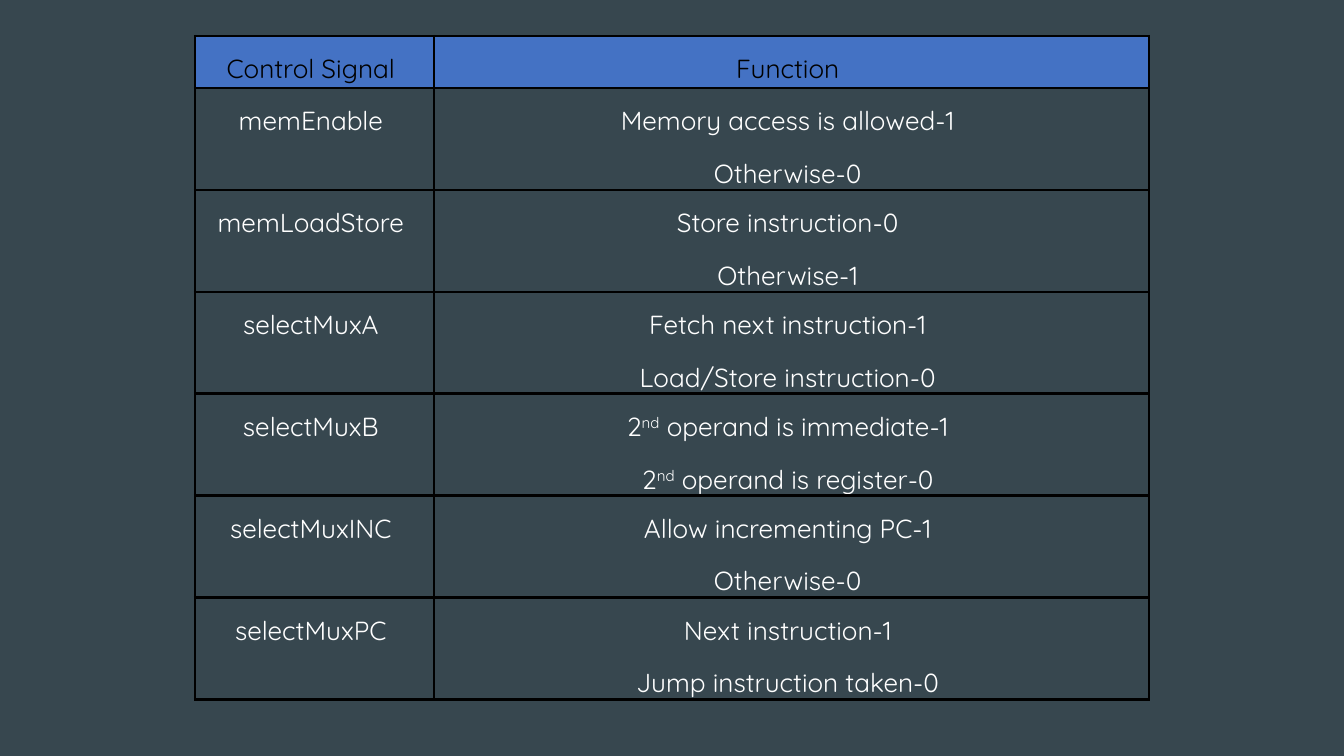
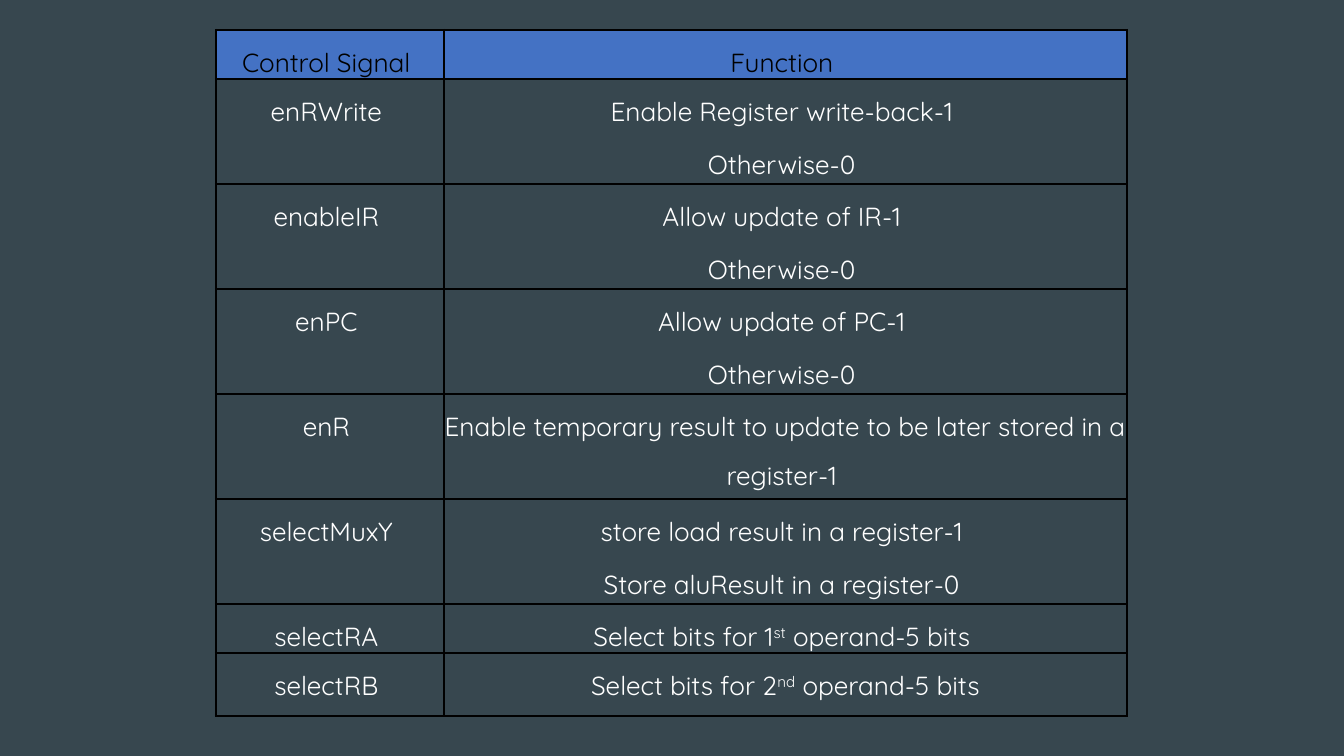
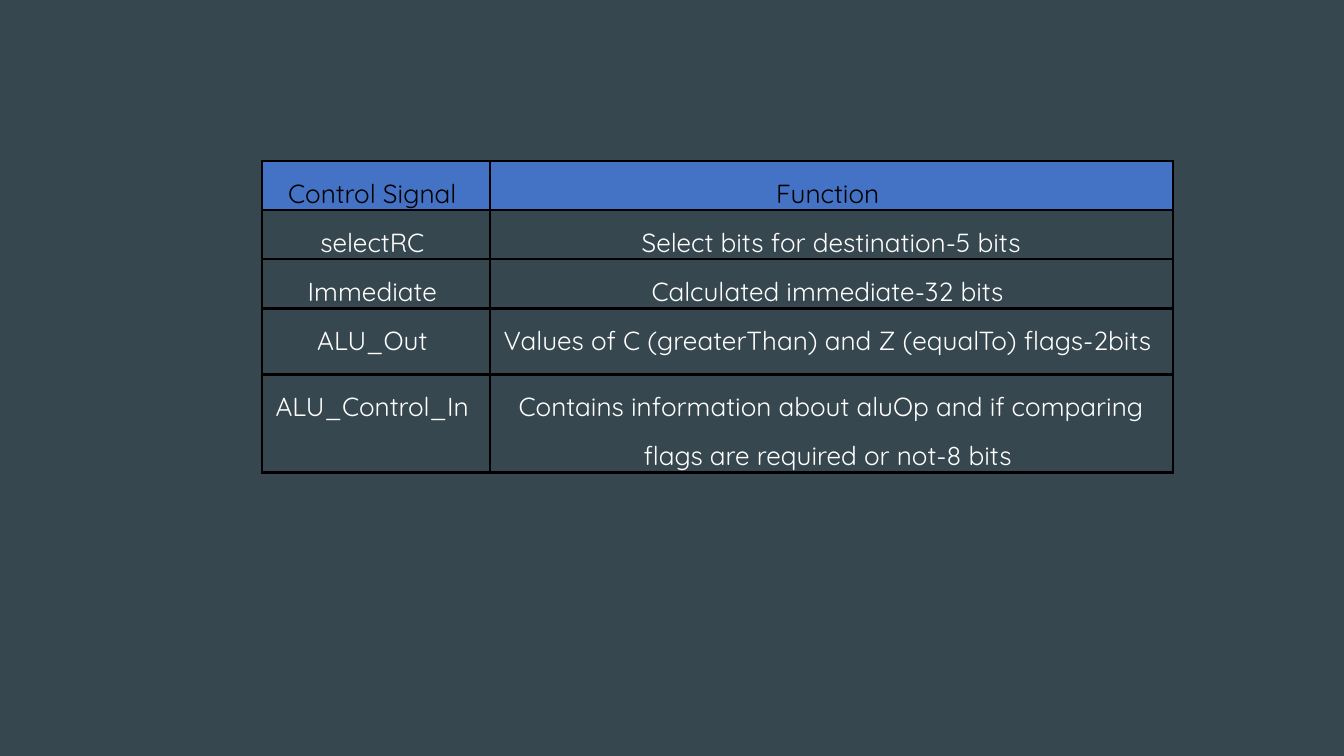
from dataclasses import dataclass

from lxml.etree import SubElement
from pptx import Presentation
from pptx.dml.color import RGBColor as RGB
from pptx.enum.text import MSO_ANCHOR as Anchor, PP_ALIGN as Align
from pptx.oxml.ns import qn
from pptx.util import Emu, Pt

PX = 914400 / 134.4  # EMU in one px


def px(n):
    return Emu(round(n * PX))


# Colours and type sizes
@dataclass(frozen=True)
class Theme:
    bg: str = "37474F"
    header_fill: str = "4472C4"
    header_text: str = "000000"
    body_text: str = "FFFFFF"
    border: str = "000000"
    border_pt: float = 1.5
    font: str = "Quicksand"
    size: int = 14
    superscript: int = 30  # percent above the baseline


PARAGRAPH = {"alignment": Align.CENTER, "line_spacing": 1.5, "space_before": Pt(2)}
CELL = {"margin_left": 0, "margin_right": 0, "margin_top": 0, "margin_bottom": 0,
        "vertical_anchor": Anchor.TOP}
HEADER = ("Control Signal ", "Function ")


def apply(obj, formats):
    for name, value in formats.items():
        setattr(obj, name, value)


class Deck:
    def __init__(self, theme, width, height):
        self.theme = theme
        self.prs = Presentation()
        self.prs.slide_width, self.prs.slide_height = px(width), px(height)
        fill = self.prs.slide_master.background.fill
        fill.solid()
        fill.fore_color.rgb = RGB.from_string(theme.bg)
        self.slide = None

    def new_slide(self):
        self.slide = self.prs.slides.add_slide(self.prs.slide_layouts[6])

    def text(self, tf, text, color):
        """Each line is a paragraph; text between carets is superscript."""
        font = {"name": self.theme.font, "size": Pt(self.theme.size), "bold": False}
        lines = text.split("\n")
        for i, line in enumerate(lines):
            p = tf.add_paragraph() if i else tf.paragraphs[0]
            apply(p, PARAGRAPH)
            p.space_after = Pt(2 if line is lines[-1] else 0)
            for j, part in enumerate(line.split("^")):
                r = p.add_run()
                r.text = part
                apply(r.font, font)
                r.font.color.rgb = RGB.from_string(color)
                if j % 2:
                    r.font._element.set("baseline", str(self.theme.superscript * 1000))

    def borders(self, cell):
        tcPr = cell._tc.get_or_add_tcPr()
        for i, side in enumerate(("lnL", "lnR", "lnT", "lnB")):
            ln = SubElement(tcPr, qn(f"a:{side}"), w=str(Pt(self.theme.border_pt)))
            fill = SubElement(ln, qn("a:solidFill"))
            SubElement(fill, qn("a:srgbClr"), val=self.theme.border)
            tcPr.insert(i, ln)  # lines precede the fill

    def cell(self, cell, text, is_header):
        apply(cell, CELL)
        if is_header:
            cell.fill.solid()
            cell.fill.fore_color.rgb = RGB.from_string(self.theme.header_fill)
        else:
            cell.fill.background()
        color = self.theme.header_text if is_header else self.theme.body_text
        self.text(cell.text_frame, text, color)
        self.borders(cell)

    def table(self, left, top, widths, heights, signals):
        rows = [HEADER, *signals]
        frame = self.slide.shapes.add_table(
            len(rows), len(widths), px(left), px(top), px(sum(widths)), px(sum(heights)))
        tbl = frame.table
        tbl.horz_banding = False
        for column, width in zip(tbl.columns, widths):
            column.width = px(width)
        for i, (row, height, texts) in enumerate(zip(tbl.rows, heights, rows)):
            row.height = px(height)
            for cell, text in zip(row.cells, texts):
                self.cell(cell, text, i == 0)


# Memory and multiplexer signals
MEMORY_SIGNALS = [
    ("memEnable ", "Memory access is allowed-1 \nOtherwise-0 "),
    ("memLoadStore ", "Store instruction-0 \nOtherwise-1 "),
    ("selectMuxA ", "Fetch next instruction-1 \nLoad/Store instruction-0 "),
    ("selectMuxB ", "2^nd^ operand is immediate-1 \n2^nd^ operand is register-0 "),
    ("selectMuxINC ", "Allow incrementing PC-1 \nOtherwise-0 "),
    ("selectMuxPC ", "Next instruction-1 \nJump instruction taken-0 "),
]

# Register signals
REGISTER_SIGNALS = [
    ("enRWrite ", "Enable Register write-back-1 \nOtherwise-0 "),
    ("enableIR ", "Allow update of IR-1 \nOtherwise-0 "),
    ("enPC ", "Allow update of PC-1 \nOtherwise-0 "),
    ("enR ", "Enable temporary result to update to be later stored in a register-1 "),
    ("selectMuxY ", "store load result in a register-1 \nStore aluResult in a register-0 "),
    ("selectRA ", "Select bits for 1^st^ operand-5 bits "),
    ("selectRB ", "Select bits for 2^nd^ operand-5 bits"),
]

# Destination, immediate and ALU signals
ALU_SIGNALS = [
    ("selectRC ", "Select bits for destination-5 bits"),
    ("Immediate ", "Calculated immediate-32 bits "),
    ("ALU_Out ", "Values of C (greaterThan) and Z (equalTo) flags-2bits "),
    ("ALU_Control_In ", "Contains information about aluOp and if comparing "
                        "flags are required or not-8 bits "),
]

# Left, top, column widths, row heights and rows of each slide's table
TABLES = [
    (195, 36, (239, 715), [52] + [101] * 6, MEMORY_SIGNALS),
    (216, 30, (228, 683), [48] + [105] * 5 + [47, 63], REGISTER_SIGNALS),
    (262, 161, (228, 683), [34] * 3 + [66, 98], ALU_SIGNALS),
]


def main():
    deck = Deck(Theme(), 1344, 756)
    for table in TABLES:
        deck.new_slide()
        deck.table(*table)
    deck.prs.save("out.pptx")


if __name__ == "__main__":
    main()
